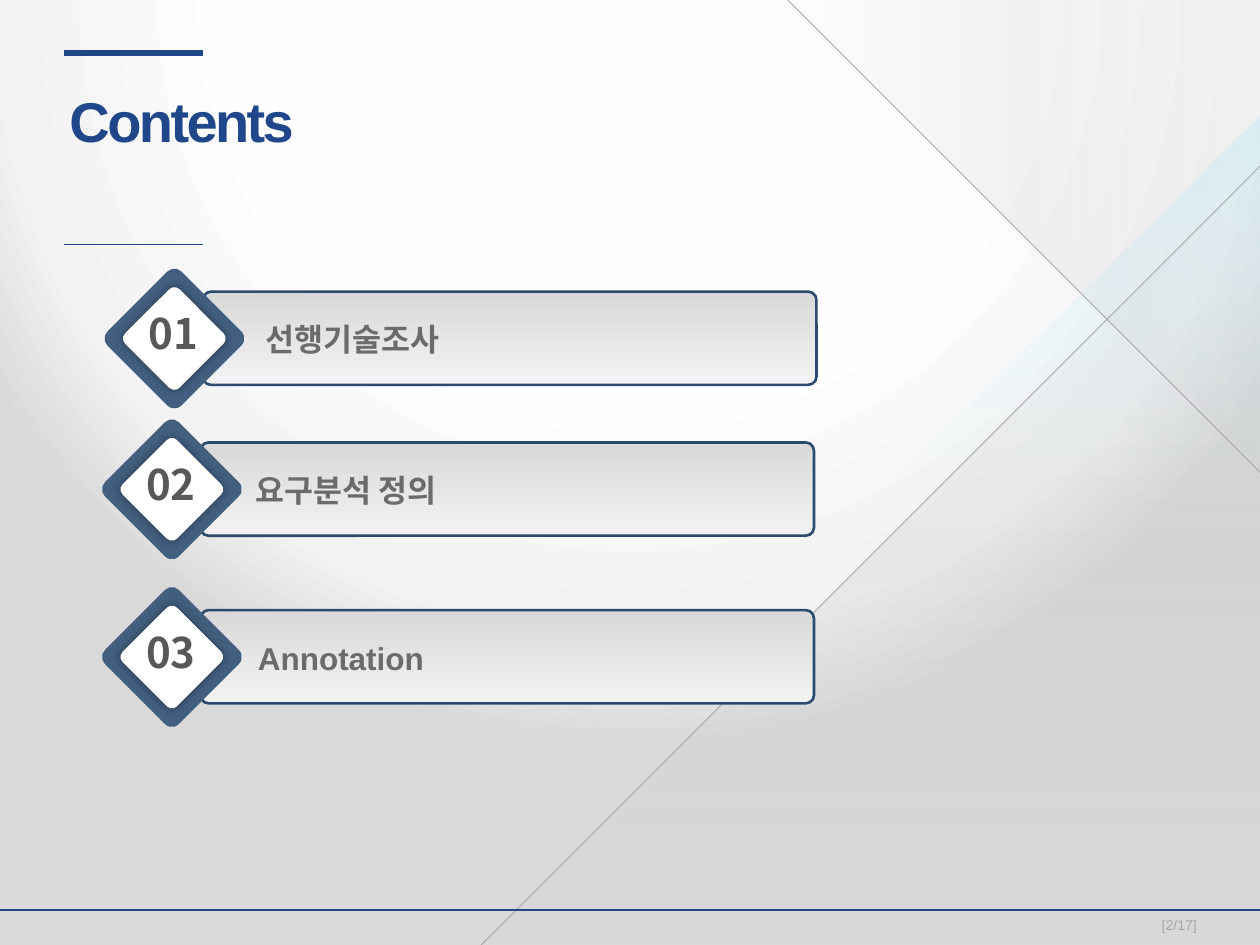
from lxml.etree import SubElement
from pptx import Presentation
from pptx.dml.color import RGBColor as Rgb
from pptx.enum.shapes import MSO_CONNECTOR as Link, MSO_SHAPE as Form
from pptx.enum.text import MSO_ANCHOR as Anchor, MSO_AUTO_SIZE as Fit, PP_ALIGN as Align
from pptx.oxml import parse_xml
from pptx.oxml.ns import nsdecls, qn
from pptx.util import Cm, Pt

INK = {"navy": "1F4789", "edge": "2A4A70", "gem": "425F80", "white": "FFFFFF",
       "num": "585858", "label": "6B6B6B", "grey": "A6A6A6", "veil": "BFBFBF",
       "light": "F2F2F2", "dark": "D9D9D9", "pale": "FEFEFE",
       "sky": "D0F3FE", "cyan": "A1E7FC", "black": "000000"}
WIDE, HIGH = 25.4, 19.05
VEIL = [(0, "veil", 0), (50, "veil", 20), (100, "veil", 0)]
GLOW = [(0, "veil", 0), (50, "sky", 0), (100, "cyan", 30)]
BAR = [(1, "light", 100), (99, "dark", 100)]
BACK = [(0, "white", 100), (50, "pale", 100), (80, "light", 100), (95, "dark", 100)]
HALO = ('<a:path path="circle"><a:fillToRect l="50000" t="-80000" '
        'r="50000" b="180000"/></a:path>')
# left, top, label indent, number, label
ROWS = [(2.46, 5.77, 2.59, "01", "선행기술조사"),
        (2.41, 8.81, 2.44, "02", "요구분석 정의"),
        (2.41, 12.19, 2.49, "03", "Annotation")]


def tint(name):
    return Rgb.from_string(INK[name])


def blend(fill, owner, stops, angle=0, shade=None):
    """Give a fill gradient stops of (percent, colour, opacity)."""
    fill.gradient()
    marks = "".join(
        f'<a:gs pos="{pos * 1000}"><a:srgbClr val="{INK[name]}">'
        f'<a:alpha val="{alpha * 1000}"/></a:srgbClr></a:gs>'
        for pos, name, alpha in stops)
    shade = shade or f'<a:lin ang="{angle * 60000}" scaled="0"/>'
    old = owner.find(".//" + qn("a:gradFill"))
    old.getparent().replace(old, parse_xml(
        f'<a:gradFill {nsdecls("a")} rotWithShape="1">'
        f'<a:gsLst>{marks}</a:gsLst>{shade}</a:gradFill>'))


def block(slide, form, box, fill=None, turn=0, round_by=None):
    shape = slide.shapes.add_shape(form, *map(Cm, box))
    shape.shadow.inherit = False
    shape.line.fill.background()
    shape.rotation = turn
    if round_by is not None:
        shape.adjustments[0] = round_by
    if fill:
        shape.fill.solid()
        shape.fill.fore_color.rgb = tint(fill)
    else:
        shape.fill.background()
    return shape


def rule(slide, start, end, color, width):
    line = slide.shapes.add_connector(Link.STRAIGHT, *map(Cm, start + end))
    line.line.color.rgb = tint(color)
    line.line.width = Pt(width)
    SubElement(line.element.spPr, qn("a:effectLst"))


def write(shape, text, size, color, font="Arial", bold=True, align=Align.LEFT,
          pad=(0, 0, 0, 0), wrap=True):
    frame = shape.text_frame
    frame.text = text
    frame.auto_size = Fit.NONE
    frame.word_wrap = wrap
    frame.vertical_anchor = Anchor.MIDDLE
    (frame.margin_left, frame.margin_top,
     frame.margin_right, frame.margin_bottom) = map(Cm, pad)
    para = frame.paragraphs[0]
    para.alignment = align
    run = para.runs[0]
    run.font.name, run.font.size, run.font.bold = font, Pt(size), bold
    run.font.color.rgb = tint(color)
    return run


def backdrop(slide):
    blend(slide.background.fill, slide.element, BACK, shade=HALO)
    # Translucent corner triangles
    for box, turn, stops in (((8.64, 2.29, 16.71, 16.81), 270, GLOW),
                             ((9.7, 3.35, 15.7, 15.7), 270, VEIL),
                             ((15.88, 0, 9.52, 9.52), 180, VEIL)):
        shape = block(slide, Form.RIGHT_TRIANGLE, box, turn=turn)
        blend(shape.fill, shape.element, stops)
    # Diagonal lines
    rule(slide, (9.7, HIGH), (WIDE, 3.35), "grey", 0.5)
    rule(slide, (15.88, 0), (WIDE, 9.52), "grey", 0.5)


def header(slide, left, top, width):
    title = slide.shapes.title
    title.left, title.top = Cm(left + 0.1), Cm(top + 0.45)
    title.width, title.height = Cm(8.99), Cm(1.8)
    run = write(title, "Contents", 32, "navy")
    run.font.element.set("spc", "-150") if hasattr(run.font, "element") else \
        run._r.get_or_add_rPr().set("spc", "-150")
    for down, weight in ((0, 3), (3.86, 1)):
        rule(slide, (left, top + down), (left + width, top + down), "navy", weight)


def footer(slide, top):
    rule(slide, (0, top), (WIDE, top), "navy", 1)
    box = slide.shapes.add_textbox(*map(Cm, (22.15, top + 0.06, 3.25, 0.5)))
    write(box, "[2/17]", 8, "grey", bold=False, align=Align.CENTER)


def entry(slide, left, top, indent, num, text):
    # Bar
    bar = block(slide, Form.ROUNDED_RECTANGLE,
                (left + 1.63, top + 0.11, 12.37, 1.88), round_by=0.088)
    blend(bar.fill, bar.element, BAR, 270)
    bar.line.color.rgb = tint("edge")
    bar.line.width = Pt(1.5)
    # Diamond with a white, softly shadowed core
    block(slide, Form.ROUNDED_RECTANGLE, (left, top, 2.11, 2.11), "gem", 45, 0.094)
    core = block(slide, Form.ROUNDED_RECTANGLE,
                 (left + 0.28, top + 0.28, 1.55, 1.55), "white", 45, 0.094)
    core.element.spPr.find(qn("a:effectLst")).append(parse_xml(
        f'<a:outerShdw {nsdecls("a")} blurRad="{Pt(5)}" dist="0" algn="ctr">'
        f'<a:srgbClr val="{INK["black"]}"><a:alpha val="40000"/></a:srgbClr>'
        '</a:outerShdw>'))
    # Number and label
    spot = block(slide, Form.OVAL, (left + 0.3, top + 0.4, 1.47, 1.09))
    write(spot, num, 24, "num", "Noto Sans CJK KR", align=Align.CENTER,
          pad=(0.25, 0.13, 0.25, 0.13), wrap=False)
    label = slide.shapes.add_textbox(*map(Cm, (left + indent, top + 0.37, 13.56, 1.3)))
    write(label, text, 18, "label", pad=(0.3, 0.3, 0.4, 0.2))


def main():
    deck = Presentation()
    deck.slide_width, deck.slide_height = Cm(WIDE), Cm(HIGH)
    slide = deck.slides.add_slide(deck.slide_layouts[5])
    backdrop(slide)
    footer(slide, 18.34)
    header(slide, 1.3, 1.07, 2.79)
    for row in ROWS:
        entry(slide, *row)
    deck.save("out.pptx")


if __name__ == "__main__":
    main()
